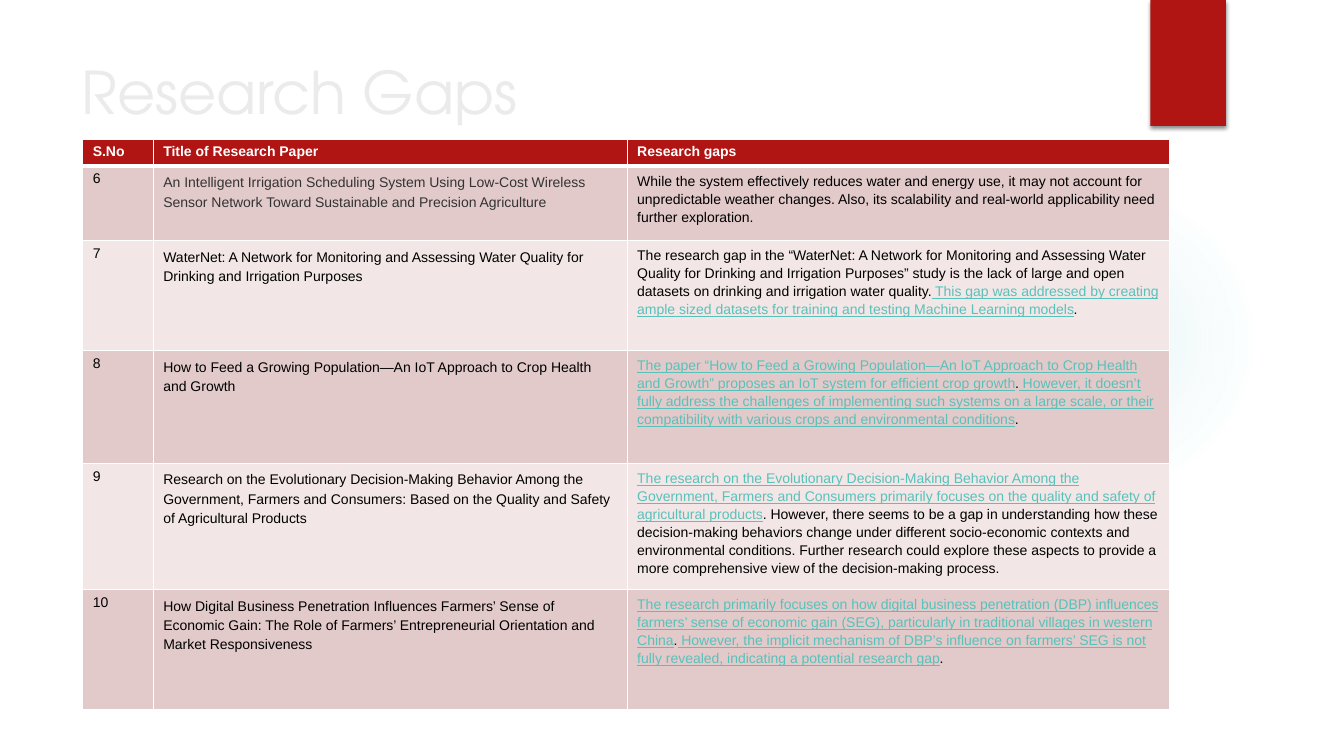
from lxml import etree
from pptx import Presentation
from pptx import util as u
from pptx.dml.color import RGBColor
from pptx.enum import shapes, text
from pptx.oxml import ns, parse_xml

COLORS = {
    "white": "FFFFFF", "red": "B01513", "title": "EBEBEB", "black": "000000",
    "gray": "333333", "link": "58C1BA", "dark_band": "E3CACA",
    "light_band": "F2E7E6", "glow": "4CB9C3",
}
HEADINGS = ["S.No", "Title of Research Paper", "Research gaps"]
PAPERS = [
    ("6",
     "An Intelligent Irrigation Scheduling System Using Low-Cost Wireless Sensor Network "
     "Toward Sustainable and Precision Agriculture",
     "While the system effectively reduces water and energy use, it may not account for "
     "unpredictable weather changes. Also, its scalability and real-world applicability "
     "need further exploration."),
    ("7",
     "WaterNet: A Network for Monitoring and Assessing Water Quality for Drinking and "
     "Irrigation Purposes",
     "The research gap in the “WaterNet: A Network for Monitoring and Assessing Water "
     "Quality for Drinking and Irrigation Purposes” study is the lack of large and open "
     "datasets on drinking and irrigation water quality.| This gap was addressed by "
     "creating ample sized datasets for training and testing Machine Learning models|."),
    ("8",
     "How to Feed a Growing Population—An IoT Approach to Crop Health and Growth",
     "|The paper “How to Feed a Growing Population—An IoT Approach to Crop Health and "
     "Growth” proposes an IoT system for efficient crop growth|.| However, it doesn’t "
     "fully address the challenges of implementing such systems on a large scale, or their "
     "compatibility with various crops and environmental conditions|."),
    ("9",
     "Research on the Evolutionary Decision-Making Behavior Among the Government, Farmers "
     "and Consumers: Based on the Quality and Safety of Agricultural Products",
     "|The research on the Evolutionary Decision-Making Behavior Among the Government, "
     "Farmers and Consumers primarily focuses on the quality and safety of agricultural "
     "products|. However, there seems to be a gap in understanding how these "
     "decision-making behaviors change under different socio-economic contexts and "
     "environmental conditions. Further research could explore these aspects to provide a "
     "more comprehensive view of the decision-making process."),
    ("10",
     "How Digital Business Penetration Influences Farmers’ Sense of Economic Gain: The "
     "Role of Farmers’ Entrepreneurial Orientation and Market Responsiveness",
     "|The research primarily focuses on how digital business penetration (DBP) influences "
     "farmers’ sense of economic gain (SEG), particularly in traditional villages in "
     "western China|.| However, the implicit mechanism of DBP’s influence on farmers’ SEG "
     "is not fully revealed, indicating a potential research gap|."),
]
COLUMN_WIDTHS = [0.7, 4.7, 5.38]
ROW_HEIGHTS = [0.27, 0.74, 1.09, 1.12, 1.17, 1.19]
LINE_SPACING = [1.0, 1.24, 1.15]
GLOW_STOPS = [(0, 7), (36, 6), (69, 0), (100, 0)]


class GapSlide:
    """Holds the style and the current slide, with a method per kind of element."""

    body = {"name": "Arial", "size": u.Pt(10)}
    heading = {"name": "TeX Gyre Adventor", "size": u.Pt(42)}

    def __init__(self, deck):
        self.slide = deck.slides.add_slide(deck.slide_layouts[6])

    def paint(self, fill, color):
        fill.solid()
        fill.fore_color.rgb = RGBColor.from_string(COLORS[color])

    def add_words(self, paragraph, words, color, style):
        run = paragraph.add_run()
        run.text = words
        for key, value in style.items():
            setattr(run.font, key, value)
        self.paint(run.font.fill, color)

    def shape(self, kind, *box):
        figure = self.slide.shapes.add_shape(kind, *map(u.Inches, box))
        figure.line.fill.background()
        figure.shadow.inherit = False
        return figure

    def glow(self, *box):
        circle = self.shape(shapes.MSO_SHAPE.OVAL, *box)
        stops = "".join(
            f'<a:gs pos="{pos * 1000}"><a:srgbClr val="{COLORS["glow"]}">'
            f'<a:alpha val="{alpha * 1000}"/></a:srgbClr></a:gs>'
            for pos, alpha in GLOW_STOPS)
        gradient = parse_xml(
            f'<a:gradFill {ns.nsdecls("a")}><a:gsLst>{stops}</a:gsLst><a:path path="circle">'
            '<a:fillToRect l="50000" t="50000" r="50000" b="50000"/></a:path></a:gradFill>')
        circle.element.spPr.find(ns.qn("a:prstGeom")).addnext(gradient)

    def ribbon(self, *box):
        tab = self.shape(shapes.MSO_SHAPE.RECTANGLE, *box)
        self.paint(tab.fill, "red")
        effects = tab.element.spPr.find(ns.qn("a:effectLst"))
        effects.append(parse_xml(
            f'<a:outerShdw {ns.nsdecls("a")} blurRad="{u.Pt(3)}" dist="{u.Pt(2)}" '
            f'dir="5400000" rotWithShape="0"><a:srgbClr val="{COLORS["black"]}">'
            '<a:alpha val="45000"/></a:srgbClr></a:outerShdw>'))

    def title(self, words, *box):
        frame = self.slide.shapes.add_textbox(*map(u.Inches, box)).text_frame
        frame.word_wrap = True
        frame.vertical_anchor = text.MSO_ANCHOR.TOP
        self.add_words(frame.paragraphs[0], words, "title", self.heading)

    def borders(self, cell, bottom):
        props = cell._tc.get_or_add_tcPr()
        for side, width in zip("LRTB", (1, 1, 1, bottom)):
            line = etree.SubElement(props, ns.qn(f"a:ln{side}"), w=str(u.Pt(width)))
            solid = etree.SubElement(line, ns.qn("a:solidFill"))
            etree.SubElement(solid, ns.qn("a:srgbClr"), val=COLORS["white"])

    def cell(self, cell, words, band, color, spacing, is_heading):
        self.borders(cell, 3 if is_heading else 1)
        self.paint(cell.fill, band)
        paragraph = cell.text_frame.paragraphs[0]
        paragraph.line_spacing = spacing
        for part, piece in enumerate(words.split("|")):
            linked = part % 2 == 1
            if piece:
                style = self.body | {"bold": is_heading, "underline": linked}
                self.add_words(paragraph, piece, "link" if linked else color, style)

    def table(self, left, top):
        rows = [HEADINGS, *PAPERS]
        size = (left, top, sum(COLUMN_WIDTHS), sum(ROW_HEIGHTS))
        grid = self.slide.shapes.add_table(
            len(rows), len(HEADINGS), *map(u.Inches, size)).table
        grid.first_row = grid.horz_banding = False
        for column, width in zip(grid.columns, COLUMN_WIDTHS):
            column.width = u.Inches(width)
        for r, (entries, height) in enumerate(zip(rows, ROW_HEIGHTS)):
            grid.rows[r].height = u.Inches(height)
            band = ("dark_band" if r % 2 else "light_band") if r else "red"
            for c, words in enumerate(entries):
                color = "black" if r else "white"
                if (r, c) == (1, 1):
                    color = "gray"
                spacing = LINE_SPACING[c] if r else 1.0
                self.cell(grid.cell(r, c), words, band, color, spacing, r == 0)


def main():
    deck = Presentation()
    deck.slide_width, deck.slide_height = u.Inches(13.33), u.Inches(7.5)
    page = GapSlide(deck)
    page.glow(9.41, 1.83, 3.08, 3.08)
    page.ribbon(11.41, 0, 0.75, 1.25)
    page.title("Research Gaps", 0.71, 0.5, 10.29, 1.53)
    page.table(0.82, 1.38)
    deck.save("out.pptx")


if __name__ == "__main__":
    main()
